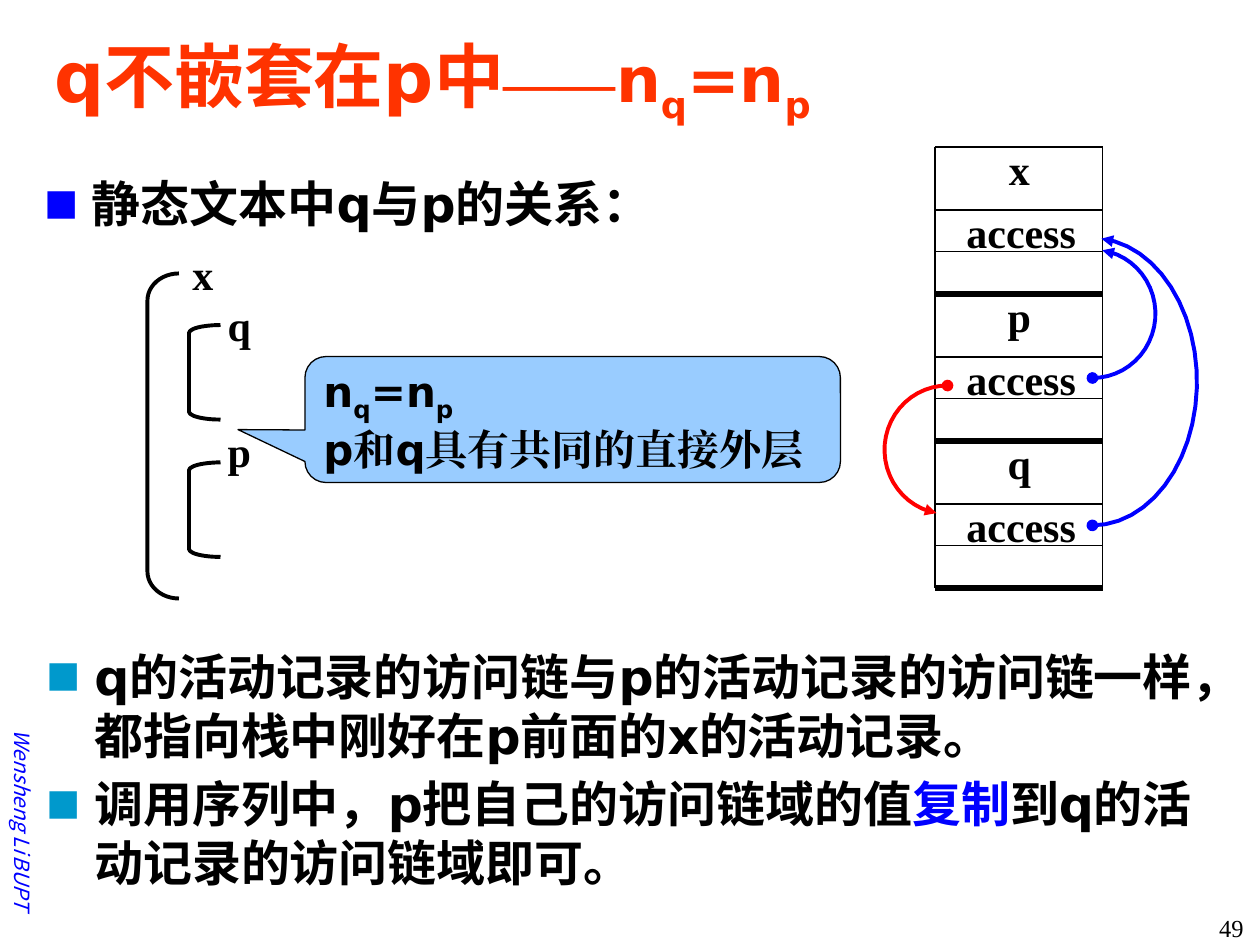
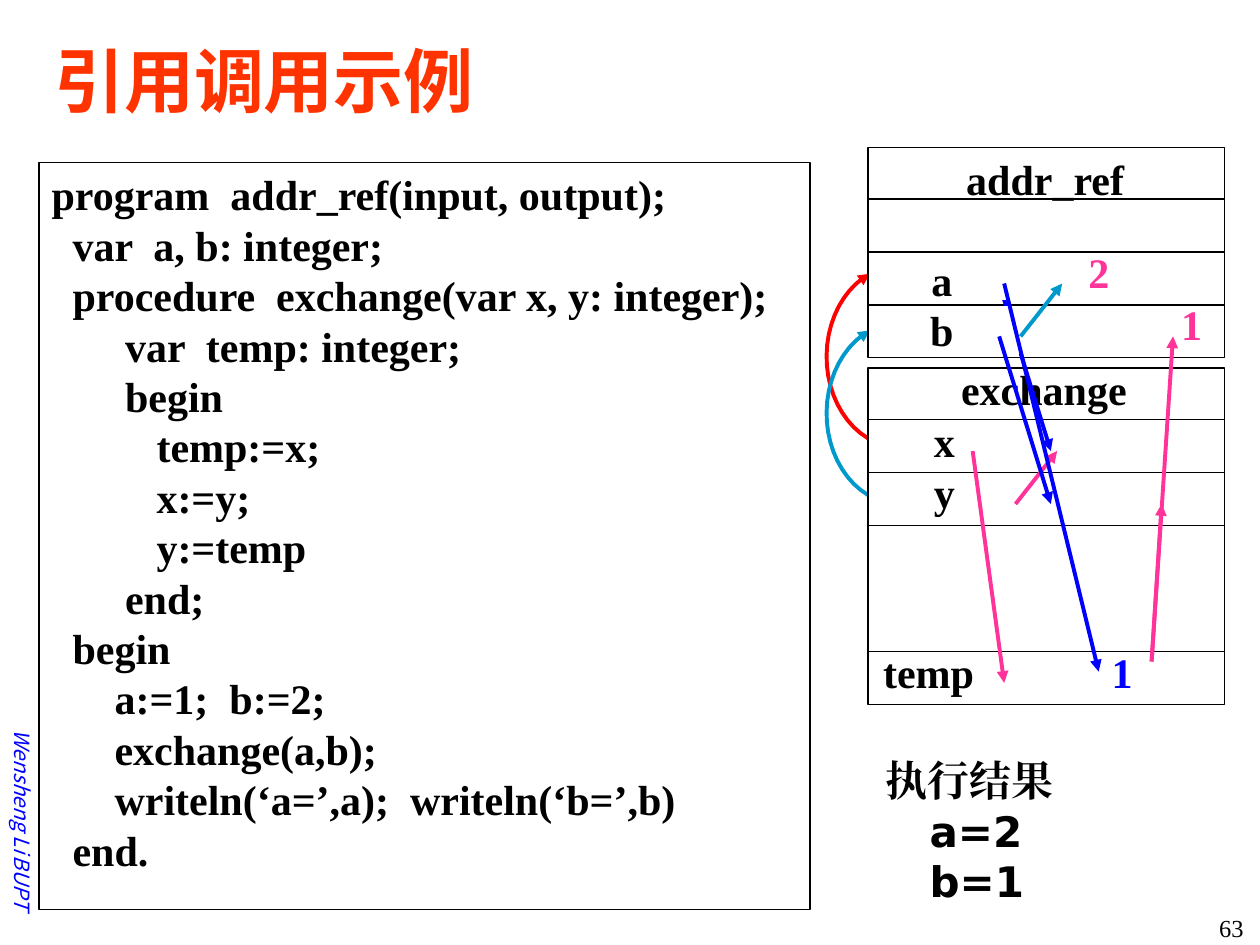
"""Build two compiler lecture slides: access links and call by reference."""
from math import cos, radians, sin

from lxml.etree import SubElement
from pptx import Presentation
from pptx.dml.color import RGBColor
from pptx.enum.shapes import MSO_CONNECTOR, MSO_SHAPE as SHAPE
from pptx.enum.text import MSO_ANCHOR as ANCHOR, MSO_AUTO_SIZE as FIT, PP_ALIGN as ALIGN
from pptx.oxml.ns import qn
from pptx.util import Inches, Pt

BLACK = RGBColor(0x00, 0x00, 0x00)
WHITE = RGBColor(0xFF, 0xFF, 0xFF)
BLUE = RGBColor(0x00, 0x00, 0xFF)
SKY = RGBColor(0x99, 0xCC, 0xFF)
TEAL = RGBColor(0x00, 0x99, 0xCC)
RED = RGBColor(0xFF, 0x00, 0x00)
ORANGE = RGBColor(0xFF, 0x33, 0x00)
PINK = RGBColor(0xFF, 0x33, 0x99)
TIMES, DEJAVU, NOTO = "Times New Roman", "DejaVu Sans", "Noto Sans CJK SC"
SUB = {"baseline": "-25000"}


def write(box, *paragraphs, size=24, font=TIMES, east=NOTO, color=BLACK, bold=True,
          italic=False, align=ALIGN.CENTER, anchor=ANCHOR.MIDDLE, wrap=False,
          bullet=None, tab=None, spacing=None):
    """Fill a box; a paragraph is a string or a list of strings and (string, overrides)."""
    frame = box.text_frame
    frame.auto_size = FIT.NONE
    frame.word_wrap = wrap
    frame.vertical_anchor = anchor
    for index, spans in enumerate(paragraphs):
        para = frame.add_paragraph() if index else frame.paragraphs[0]
        props = para._p.get_or_add_pPr()
        props.set("marL", str(Inches(0.38 if bullet else 0)))
        props.set("indent", str(Inches(-0.38 if bullet else 0)))
        if bullet:
            SubElement(SubElement(props, qn("a:buClr")), qn("a:srgbClr"), val=str(bullet))
            SubElement(props, qn("a:buSzPct"), val="70000")
            SubElement(props, qn("a:buFont"), typeface=NOTO)
            SubElement(props, qn("a:buChar"), char="■")
        else:
            SubElement(props, qn("a:buNone"))
        if tab:
            tabs = SubElement(props, qn("a:tabLst"))
            SubElement(tabs, qn("a:tab"), pos=str(Inches(tab)), algn="l")
        para.alignment = align
        para.space_before = Pt(size * 0.2 if bullet and index else 0)
        if spacing:
            para.line_spacing = spacing
        for span in [spans] if isinstance(spans, str) else spans:
            text, changes = (span, {}) if isinstance(span, str) else span
            run = para.add_run()
            run.text = text
            run.font.size = Pt(changes.get("size", size))
            run.font.bold = bold
            run.font.italic = italic
            run.font.color.rgb = changes.get("color", color)
            run.font.name = changes.get("font", font)
            run_props = run._r.get_or_add_rPr()
            SubElement(run_props, qn("a:ea"), typeface=changes.get("east", east))
            if "baseline" in changes:
                run_props.set("baseline", changes["baseline"])


def draw_line(page, points, color=BLACK, width=0.75, head=None, tail=None):
    """Draw a connector through two points, or an open curve through more."""
    points = [(Inches(x), Inches(y)) for x, y in points]
    if len(points) == 2:
        stroke = page.shapes.add_connector(MSO_CONNECTOR.STRAIGHT, *points[0], *points[1])
    else:
        builder = page.shapes.build_freeform(*points[0], scale=1.0)
        builder.add_line_segments(points[1:], close=False)
        stroke = builder.convert_to_shape()
        stroke.fill.background()
    stroke.line.color.rgb = color
    stroke.line.width = Pt(width)
    props = stroke._element.spPr
    for end, kind in (("a:headEnd", head), ("a:tailEnd", tail)):
        if kind:
            SubElement(props.find(qn("a:ln")), qn(end), type=kind)
    SubElement(props, qn("a:effectLst"))


deck = Presentation()
deck.slide_width, deck.slide_height = Inches(10), Inches(7.5)

titles = [
    ("49", ["q不嵌套在p中", ("——", {"size": 32, "font": TIMES, "east": TIMES}),
            ("n", {"size": 36}), ("q", {"size": 36, **SUB}),
            ("=n", {"size": 36}), ("p", {"size": 36, **SUB})]),
    ("63", "引用调用示例"),
]
for number, heading in titles:
    page = deck.slides.add_slide(deck.slide_layouts[1])
    title = page.shapes.title
    title.left, title.top, title.width, title.height = map(Inches, (0.33, 0.17, 9.42, 0.92))
    write(title, heading, size=40, font=DEJAVU, color=ORANGE, align=ALIGN.LEFT, wrap=True)

    author = page.shapes.add_textbox(*map(Inches, (-1.14, 6, 2.64, 0.3)))
    author.rotation = 90
    write(author, "Wensheng Li\tBUPT", size=12, font=NOTO, color=BLUE, bold=False,
          italic=True, align=ALIGN.LEFT, wrap=True, tab=1.16)
    author.text_frame.margin_left = Inches(0.96)
    author.text_frame.margin_right = 0

    page_number = page.shapes.add_textbox(*map(Inches, (9.14, 7.2, 0.83, 0.3)))
    write(page_number, number, size=14, bold=False, align=ALIGN.RIGHT, anchor=ANCHOR.TOP,
          wrap=True)

link_page, reference_page = deck.slides

relation = link_page.placeholders[1]
relation.left, relation.top, relation.width, relation.height = map(
    Inches, (0.25, 1.33, 5.21, 0.58))
write(relation, "静态文本中q与p的关系：", size=28, font=DEJAVU, align=ALIGN.LEFT,
      anchor=ANCHOR.TOP, wrap=True, bullet=BLUE)

scopes = [
    ("x", 1.17, 2.17, 2.58, 0.86, 1.42, 1.92),
    ("q", 1.5, 2.58, 0.75, 0.25, 1.71, 2.33),
    ("p", 1.5, 3.67, 0.75, 0.25, 1.71, 3.33),
]
for name, left, top, height, curve, label_left, label_top in scopes:
    bracket = link_page.shapes.add_shape(
        SHAPE.LEFT_BRACKET, *map(Inches, (left, top, 0.25, height)))
    bracket.adjustments[0] = curve
    bracket.fill.background()
    bracket.line.color.rgb = BLACK
    bracket.line.width = Pt(2.25)
    bracket.shadow.inherit = False
    label = link_page.shapes.add_textbox(*map(Inches, (label_left, label_top, 0.38, 0.5)))
    write(label, name)

callout = link_page.shapes.add_shape(
    SHAPE.ROUNDED_RECTANGULAR_CALLOUT, *map(Inches, (2.42, 2.83, 4.25, 1)))
for index, value in enumerate((-0.625, 0.08, 0.167)):
    callout.adjustments[index] = value
callout.fill.solid()
callout.fill.fore_color.rgb = SKY
callout.line.color.rgb = BLACK
callout.line.width = Pt(0.75)
callout.shadow.inherit = False
write(callout, ["n", ("q", SUB), "=n", ("p", SUB)], "p和q具有共同的直接外层",
      font=DEJAVU, east=TIMES, align=ALIGN.LEFT)

stack_left, stack_right, record_height = 7.42, 8.75, 3.5 / 3
for index, name in enumerate("xpq"):
    top = record_height * (index + 1)
    bottom = top + record_height
    for text, left, offset, width in ((name, 7.9, -0.08, 0.38), ("access", 7.57, 0.42, 1.07)):
        label = link_page.shapes.add_textbox(*map(Inches, (left, top + offset, width, 0.5)))
        write(label, text)
    for y, width in ((top, 0.75), (top + 0.5, 0.75), (top + 0.83, 0.75), (bottom, 3)):
        draw_line(link_page, [(stack_left, y), (stack_right, y)], width=width)
    for x in (stack_left, stack_right):
        draw_line(link_page, [(x, top), (x, bottom)])

arcs = [
    (link_page, 8.67, 2.49, 0.5, 0.51, 90, -81, BLUE, "oval"),
    (link_page, 8.67, 3.03, 0.83, 1.14, 90, -85, BLUE, "oval"),
    (link_page, 7.52, 3.57, 0.5, 0.51, -90, -260, RED, "oval"),
    (reference_page, 7.14, 2.83, 0.58, 0.72, 90, 246, RED, None),
    (reference_page, 7.14, 3.28, 0.58, 0.72, 90, 246, TEAL, None),
]
steps = 24
for page, x, y, x_radius, y_radius, start, end, color, head in arcs:
    angles = [radians(start + (end - start) * step / steps) for step in range(steps + 1)]
    curve = [(x + x_radius * cos(angle), y + y_radius * sin(angle)) for angle in angles]
    draw_line(page, curve, color, 2.25, head, "triangle")

summary = link_page.shapes.add_textbox(*map(Inches, (0.27, 5.08, 9.37, 2.17)))
write(summary,
      "q的活动记录的访问链与p的活动记录的访问链一样，都指向栈中刚好在p前面的x的活动记录。",
      ["调用序列中，p把自己的访问链域的值", ("复制", {"color": BLUE}),
       "到q的活动记录的访问链域即可。"],
      size=28, font=DEJAVU, align=ALIGN.LEFT, anchor=ANCHOR.TOP, wrap=True, bullet=TEAL)

program = reference_page.placeholders[1]
program.left, program.top, program.width, program.height = map(
    Inches, (0.31, 1.29, 6.12, 5.93))
program.line.color.rgb = BLACK
program.line.width = Pt(0.75)
code = """program  addr_ref(input, output);
  var  a, b: integer;
  procedure  exchange(var x, y: integer);
       var  temp: integer;
       begin
          temp:=x;
          x:=y;
          y:=temp
       end;
  begin
      a:=1;  b:=2;
      exchange(a,b);
      writeln(‘a=’,a);  writeln(‘b=’,b)
  end."""
write(program, *code.split("\n"), east=TIMES, align=ALIGN.LEFT, anchor=ANCHOR.TOP, wrap=True)

frame_left, frame_width = 6.89, 2.83
frames = [(1.17, 1.67, (1.58, 2, 2.42)), (2.92, 2.67, (3.33, 3.75, 4.17, 5.17))]
for top, height, rows in frames:
    record = reference_page.shapes.add_shape(
        SHAPE.RECTANGLE, *map(Inches, (frame_left, top, frame_width, height)))
    record.fill.solid()
    record.fill.fore_color.rgb = WHITE
    record.line.color.rgb = BLACK
    record.line.width = Pt(0.75)
    record.shadow.inherit = False
    for y in rows:
        draw_line(reference_page, [(frame_left, y), (frame_left + frame_width, y)])

labels = [
    (["addr_ref"], 7.56, 1.16, 1.47, 0.51, BLACK),
    (["a", "b"], 7.28, 1.97, 0.39, 0.9, BLACK),
    (["exchange"], 7.52, 2.83, 1.53, 0.51, BLACK),
    (["x", "y"], 7.31, 3.25, 0.37, 0.9, BLACK),
    (["temp"], 6.91, 5.08, 0.92, 0.5, BLACK),
    (["1"], 8.72, 5.08, 0.37, 0.5, BLUE),
]
for lines, left, top, width, height, color in labels:
    label = reference_page.shapes.add_textbox(*map(Inches, (left, top, width, height)))
    write(label, *lines, color=color)

draw_line(reference_page, [(7.93, 2.25), (8.34, 3.58)], BLUE, 2.25, tail="triangle")

values = [
    (["2"], (7.72, 2.08, 1.25, 0.3), 0.85,
     {"color": PINK, "spacing": 0.5}),
    (["1"], (7.64, 2.43, 2, 0.38), 0.1,
     {"color": PINK, "spacing": 0.7, "align": ALIGN.RIGHT}),
    (["执行结果", ("a=2"), ("b=1")], (6.93, 5.94, 2.39, 1.33), 0.1,
     {"font": DEJAVU, "east": TIMES, "align": ALIGN.LEFT, "anchor": ANCHOR.TOP}),
]
for lines, place, margin, style in values:
    box = reference_page.shapes.add_shape(SHAPE.RECTANGLE, *map(Inches, place))
    box.fill.solid()
    box.fill.fore_color.rgb = WHITE
    box.line.fill.background()
    box.shadow.inherit = False
    write(box, *lines, wrap=True, **style)
    box.text_frame.margin_left = Inches(margin)
    for para in box.text_frame.paragraphs[1:]:
        para._p.get_or_add_pPr().set("marL", str(Inches(0.35)))

moves = [
    ((7.72, 3.58), (7.97, 5.42), PINK),
    ((8.06, 4), (8.39, 3.58), PINK),
    ((9.14, 5.25), (9.22, 4), PINK),
    ((7.97, 2.25), (8.72, 5.33), BLUE),
    ((8.1, 2.67), (8.43, 2.25), TEAL),
    ((9.14, 5.25), (9.31, 2.67), PINK),
    ((7.93, 2.67), (8.34, 4), BLUE),
]
for start, end, color in moves:
    draw_line(reference_page, [start, end], color, 2.25, tail="triangle")

deck.save("out.pptx")
